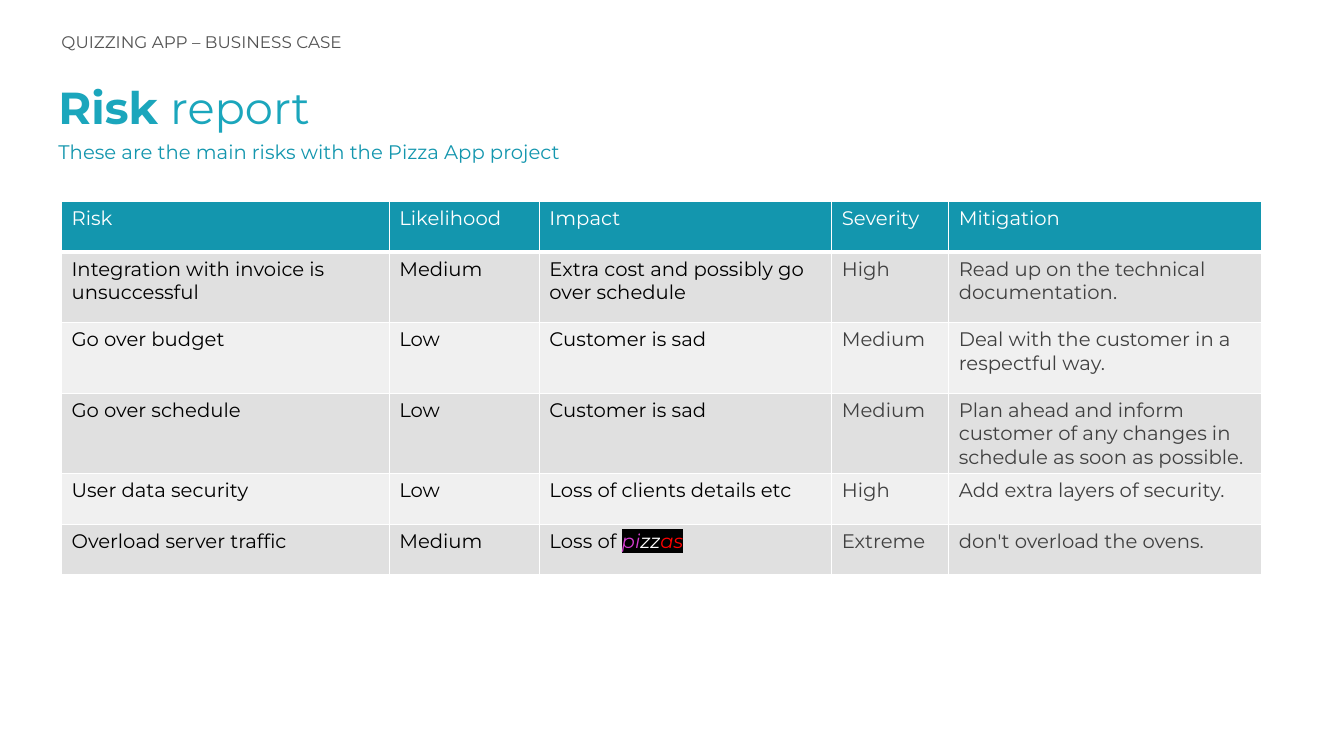
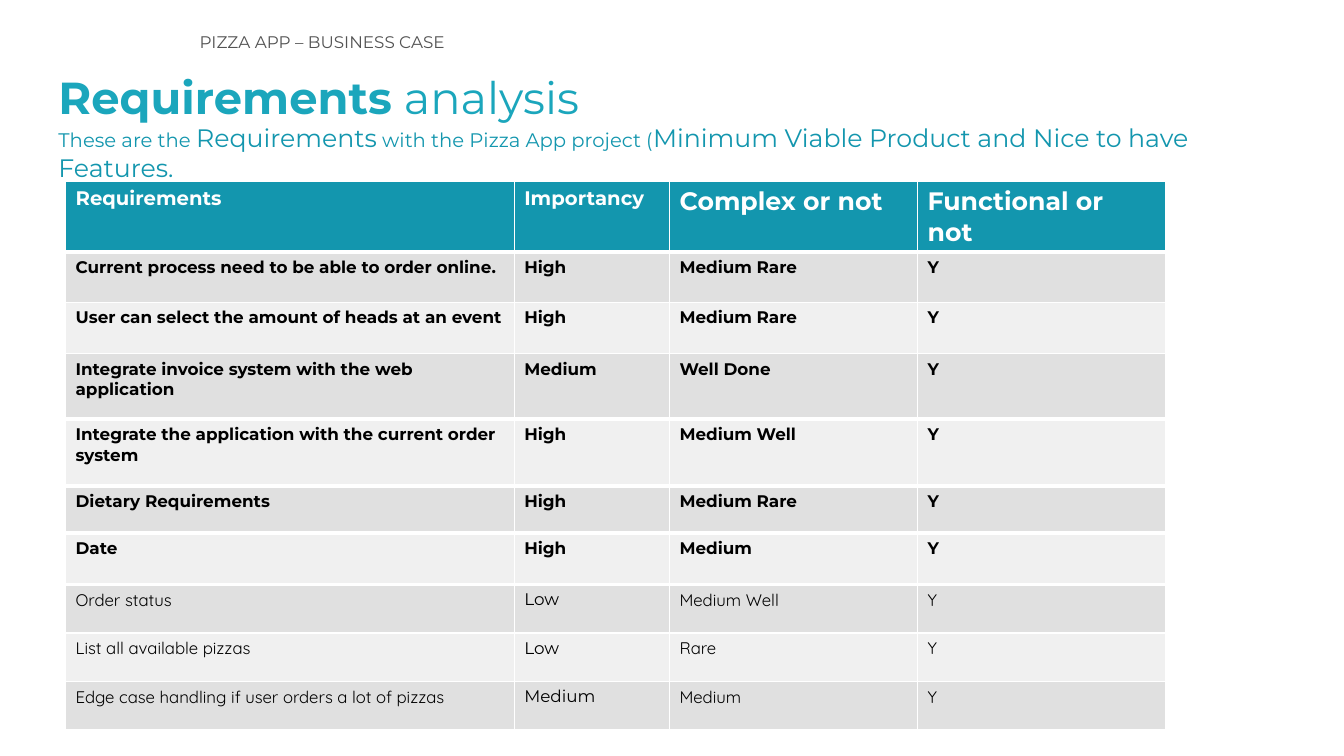
from dataclasses import dataclass

from lxml import etree
from pptx import Presentation, util as u
from pptx.dml.color import RGBColor
from pptx.enum import text
from pptx.oxml import ns


@dataclass(frozen=True)
class Theme:
    title: str = "1BA6BC"
    accent: str = "1396AE"
    label: str = "535353"
    soft: str = "404040"
    ink: str = "000000"
    white: str = "FFFFFF"
    bands: tuple = ("E0E0E0", "F0F0F0")
    font: str = "Montserrat"
    light_font: str = "Quicksand"
    title_size: int = 32
    large: int = 18
    body: int = 14
    small: int = 12
    thin: int = 1
    thick: int = 3


THEME = Theme()

# Content: a text is a string or a list of (words, format) spans
PIZZAS = [
    "Loss of ",
    ("pi", dict(color="D53DD0", italic=True, highlight=THEME.ink)),
    ("zz", dict(color=THEME.white, italic=True, highlight=THEME.ink)),
    ("as", dict(color="FF0000", italic=True, highlight=THEME.ink)),
]
RISKS = [
    ("Risk", "Likelihood", "Impact", "Severity", "Mitigation"),
    ("Integration with invoice is unsuccessful", "Medium",
     "Extra cost and possibly go over schedule", "High",
     "Read up on the technical documentation."),
    ("Go over budget", "Low", "Customer is sad", "Medium",
     "Deal with the customer in a respectful way."),
    ("Go over schedule", "Low", "Customer is sad", "Medium",
     "Plan ahead and inform customer of any changes in schedule as soon as possible."),
    ("User data security", "Low", "Loss of clients details etc", "High",
     "Add extra layers of security."),
    ("Overload server traffic", "Medium", PIZZAS, "Extreme", "don't overload the ovens."),
]
MUST_HAVE = [
    ("Current process need to be able to order online.", "High", "Medium Rare", "Y"),
    ("User can select the amount of heads at an event", "High", "Medium Rare", "Y"),
    ("Integrate invoice system with the web application", "Medium", "Well Done", "Y"),
    ("Integrate the application with the current order system", "High", "Medium Well", "Y"),
    ("Dietary Requirements", "High", "Medium Rare", "Y"),
    ("Date", "High", "Medium", "Y"),
]
NICE_TO_HAVE = [
    ("Order status", "Low", "Medium Well", "Y"),
    ("List all available pizzas", "Low", "Rare", "Y"),
    ("Edge case handling if user orders a lot of pizzas", "Medium", "Medium", "Y"),
]
REQUIREMENTS = [
    ("Requirements", "Importancy", "Complex or not", "Functional or not"),
    *MUST_HAVE, *NICE_TO_HAVE,
]
LARGE = dict(size=THEME.large)


# Cell formats by row and column
def risk_format(row, column):
    if row == 0:
        return dict(color=THEME.white)
    return dict(color=THEME.soft if column >= 3 else THEME.ink)


def requirement_format(row, column):
    if row == 0:
        return dict(color=THEME.white, bold=True,
                    size=THEME.large if column >= 2 else THEME.body)
    if row <= len(MUST_HAVE):
        return dict(size=THEME.small, bold=True)
    return dict(size=THEME.small, font=THEME.font if column == 1 else THEME.light_font)


SLIDES = [
    dict(label="QUIZZING APP – BUSINESS CASE", label_left=0.61,
         title=("Risk", " report"), title_top=0.85,
         subtitle=["These are the main risks with the Pizza App project"], subtitle_top=1.39,
         rows=RISKS, cell_format=risk_format, corner=(0.61, 2),
         widths=(3.25, 1.49, 2.9, 1.16, 3.1), heights=(0.5, 0.7, 0.7, 0.7, 0.5, 0.5),
         thick_below={0}),
    dict(label="PIZZA APP – BUSINESS CASE", label_left=1.98,
         title=("Requirements", " analysis"), title_top=0.75,
         subtitle=["These are the ", ("Requirements", LARGE), " with the Pizza App project (",
                   ("Minimum Viable Product and Nice to have Features.", LARGE)],
         subtitle_top=1.21,
         rows=REQUIREMENTS, cell_format=requirement_format, corner=(0.65, 1.8),
         widths=(4.45, 1.54, 2.46, 2.46),
         heights=(0.41, 0.5, 0.51, 0.65, 0.66, 0.47, 0.51, 0.48, 0.48, 0.48),
         thick_below={0, 3, 4, 5, 6}),
]


def add_color(parent, tag, color):
    holder = etree.SubElement(parent, ns.qn(tag))
    etree.SubElement(holder, ns.qn("a:srgbClr"), val=color)


def add_span(para, words, *, size=THEME.body, color=THEME.ink, bold=False, italic=False,
             font=THEME.font, highlight=None):
    span = para.add_run()
    span.text = words
    span.font.size = u.Pt(size)
    span.font.bold = bold
    span.font.italic = italic
    span.font.color.rgb = RGBColor.from_string(color)
    if highlight:
        add_color(span.font._element, "a:highlight", highlight)
    span.font.name = font


def write(para, content, **style):
    for part in [content] if isinstance(content, str) else content:
        words, changes = (part, {}) if isinstance(part, str) else part
        add_span(para, words, **{**style, **changes})


def add_text(page, content, left, top, width, height, *, spacing=None, **style):
    box = page.shapes.add_textbox(*map(u.Inches, (left, top, width, height)))
    frame = box.text_frame
    frame.word_wrap = True
    frame.margin_left = frame.margin_right = frame.margin_top = frame.margin_bottom = 0
    frame.vertical_anchor = text.MSO_ANCHOR.TOP
    para = frame.paragraphs[0]
    if spacing:
        para.line_spacing = spacing
    write(para, content, **style)


def set_borders(cell, top, bottom):
    properties = cell._tc.get_or_add_tcPr()
    widths = dict(lnL=THEME.thin, lnR=THEME.thin, lnT=top, lnB=bottom)
    for place, (side, width) in enumerate(widths.items()):
        line = etree.Element(ns.qn(f"a:{side}"), w=str(int(u.Pt(width))))
        add_color(line, "a:solidFill", THEME.white)
        properties.insert(place, line)


def add_grid(page, rows, cell_format, corner, widths, heights, thick_below):
    frame = page.shapes.add_table(
        len(rows), len(widths),
        *map(u.Inches, (*corner, sum(widths), sum(heights))))
    table = frame.table
    table.first_row = table.horz_banding = False
    for column, width in zip(table.columns, widths):
        column.width = u.Inches(width)
    for r, (values, height) in enumerate(zip(rows, heights)):
        table.rows[r].height = u.Inches(height)
        top, bottom = (THEME.thick if edge in thick_below else THEME.thin
                       for edge in (r - 1, r))
        fill = THEME.bands[(r - 1) % 2] if r else THEME.accent
        for c, value in enumerate(values):
            cell = table.cell(r, c)
            cell.fill.solid()
            cell.fill.fore_color.rgb = RGBColor.from_string(fill)
            set_borders(cell, top, bottom)
            write(cell.text_frame.paragraphs[0], value, **cell_format(r, c))


def build_page(deck, label, label_left, title, title_top, subtitle, subtitle_top, **grid):
    page = deck.slides.add_slide(deck.slide_layouts[6])
    strong, plain = title
    add_text(page, label, label_left, 0.34, 9.37, 0.19, spacing=0.9,
             size=THEME.small, color=THEME.label)
    add_text(page, [(strong, dict(bold=True)), plain], 0.58, title_top, 12.12, 0.48,
             spacing=0.9, size=THEME.title_size, color=THEME.title)
    add_text(page, subtitle, 0.58, subtitle_top, 12.19, 0.25, color=THEME.accent)
    add_grid(page, **grid)


# Build the deck
deck = Presentation()
deck.slide_width, deck.slide_height = u.Inches(13.33), u.Inches(7.5)
for slide in SLIDES:
    build_page(deck, **slide)
deck.save("out.pptx")
